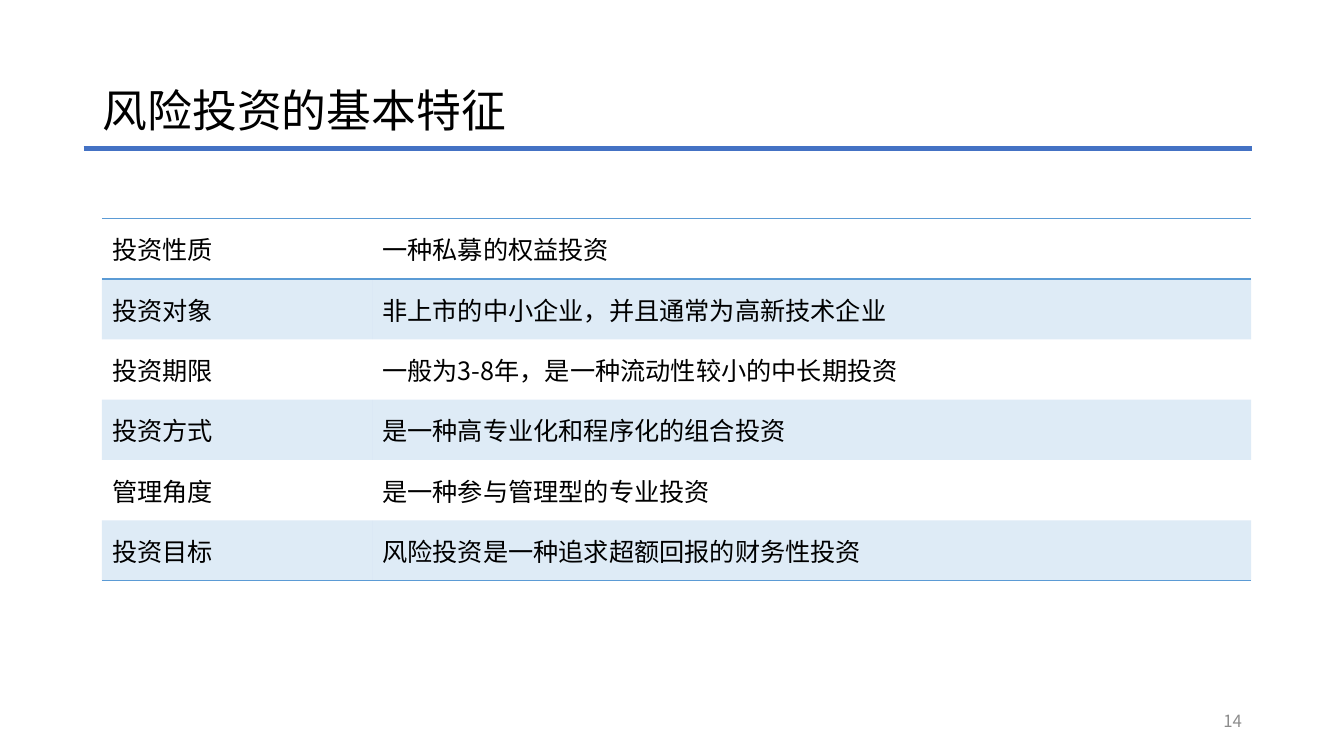
from dataclasses import dataclass

from lxml.etree import SubElement
from pptx import Presentation
from pptx.dml.color import RGBColor
from pptx.enum.shapes import MSO_CONNECTOR
from pptx.enum.text import MSO_ANCHOR as Anchor, PP_ALIGN as Align
from pptx.oxml.ns import qn
from pptx.slide import Slide
from pptx.table import _Cell as Cell
from pptx.text.text import TextFrame
from pptx.util import Cm, Pt

FONT = "Noto Sans CJK SC"
COLORS = {"text": "000000", "rule": "4472C4", "table": "5B9BD5", "number": "8C8C8C"}
NO_STYLE = "{2D5ABB26-0587-4C30-8999-92F81FD0307C}"
BAND_OPACITY = 20000
COL_WIDTHS = (6.81, 22.15)
ROW_HEIGHT = 1.52


@dataclass
class Label:
    text: str
    left: float
    top: float
    width: float
    height: float
    size: int
    color: str = "text"
    align: Align = Align.LEFT
    spacing: float = 1.0


@dataclass
class Feature:
    name: str
    detail: str


LABELS = [
    Label("风险投资的基本特征", 2.34, 1.02, 29.21, 3.68, 32, spacing=0.9),
    Label("14", 23.93, 17.65, 7.62, 1.02, 12, "number", Align.RIGHT),
]
FEATURES = [
    Feature("投资性质", "一种私募的权益投资"),
    Feature("投资对象", "非上市的中小企业，并且通常为高新技术企业"),
    Feature("投资期限", "一般为3-8年，是一种流动性较小的中长期投资"),
    Feature("投资方式", "是一种高专业化和程序化的组合投资"),
    Feature("管理角度", "是一种参与管理型的专业投资"),
    Feature("投资目标", "风险投资是一种追求超额回报的财务性投资"),
]


def rgb(name: str) -> RGBColor:
    return RGBColor.from_string(COLORS[name])


def add_run(tf: TextFrame, text: str, size: int, color: str = "text") -> None:
    r = tf.paragraphs[0].add_run()
    r.text = text
    r.font.size = Pt(size)
    r.font.color.rgb = rgb(color)
    r.font.name = FONT
    SubElement(r.font._element, qn("a:ea"), typeface=FONT)


def add_label(s: Slide, label: Label) -> None:
    sp = s.shapes.add_textbox(Cm(label.left), Cm(label.top), Cm(label.width), Cm(label.height))
    tf = sp.text_frame
    tf.word_wrap = True
    tf.vertical_anchor = Anchor.MIDDLE
    p = tf.paragraphs[0]
    p.alignment = label.align
    p.line_spacing = label.spacing
    add_run(tf, label.text, label.size, label.color)


def add_border(cell: Cell, tag: str) -> None:
    ln = SubElement(cell._tc.get_or_add_tcPr(), qn(tag), w=str(Pt(1)))
    fill = SubElement(ln, qn("a:solidFill"))
    SubElement(fill, qn("a:srgbClr"), val=COLORS["table"])


def fill_band(cell: Cell) -> None:
    cell.fill.solid()
    cell.fill.fore_color.rgb = rgb("table")
    clr = cell._tc.tcPr.find(qn("a:solidFill")).find(qn("a:srgbClr"))
    SubElement(clr, qn("a:alpha"), val=str(BAND_OPACITY))


def add_feature_table(s: Slide, left: float, top: float) -> None:
    last = len(FEATURES) - 1
    frame = s.shapes.add_table(len(FEATURES), len(COL_WIDTHS), Cm(left), Cm(top),
                               Cm(sum(COL_WIDTHS)), Cm(ROW_HEIGHT * len(FEATURES)))
    table = frame.table
    table.first_row = table.horz_banding = False
    table._tbl.tblPr.find(qn("a:tableStyleId")).text = NO_STYLE
    for column, width in zip(table.columns, COL_WIDTHS):
        column.width = Cm(width)
    for i, feature in enumerate(FEATURES):
        table.rows[i].height = Cm(ROW_HEIGHT)
        for j, text in enumerate((feature.name, feature.detail)):
            cell = table.cell(i, j)
            cell.vertical_anchor = Anchor.MIDDLE
            add_run(cell.text_frame, text, 18)
            # Borders come before the fill in the cell properties
            if i == 0:
                add_border(cell, "a:lnT")
            if i in (0, last):
                add_border(cell, "a:lnB")
            if i % 2:
                fill_band(cell)
            else:
                cell.fill.background()


def add_rule(s: Slide, left: float, right: float, y: float) -> None:
    line = s.shapes.add_connector(MSO_CONNECTOR.STRAIGHT, Cm(left), Cm(y), Cm(right), Cm(y))
    line.line.color.rgb = rgb("rule")
    line.line.width = Pt(3)
    SubElement(line._element.spPr, qn("a:effectLst"))


def main() -> None:
    prs = Presentation()
    prs.slide_width, prs.slide_height = Cm(33.87), Cm(19.05)
    s = prs.slides.add_slide(prs.slide_layouts[6])

    # Title and page number
    for label in LABELS:
        add_label(s, label)

    # Rule under the title
    add_rule(s, 2.11, 31.55, 3.74)

    # Features of venture capital
    add_feature_table(s, 2.57, 5.51)

    prs.save("out.pptx")


if __name__ == "__main__":
    main()
